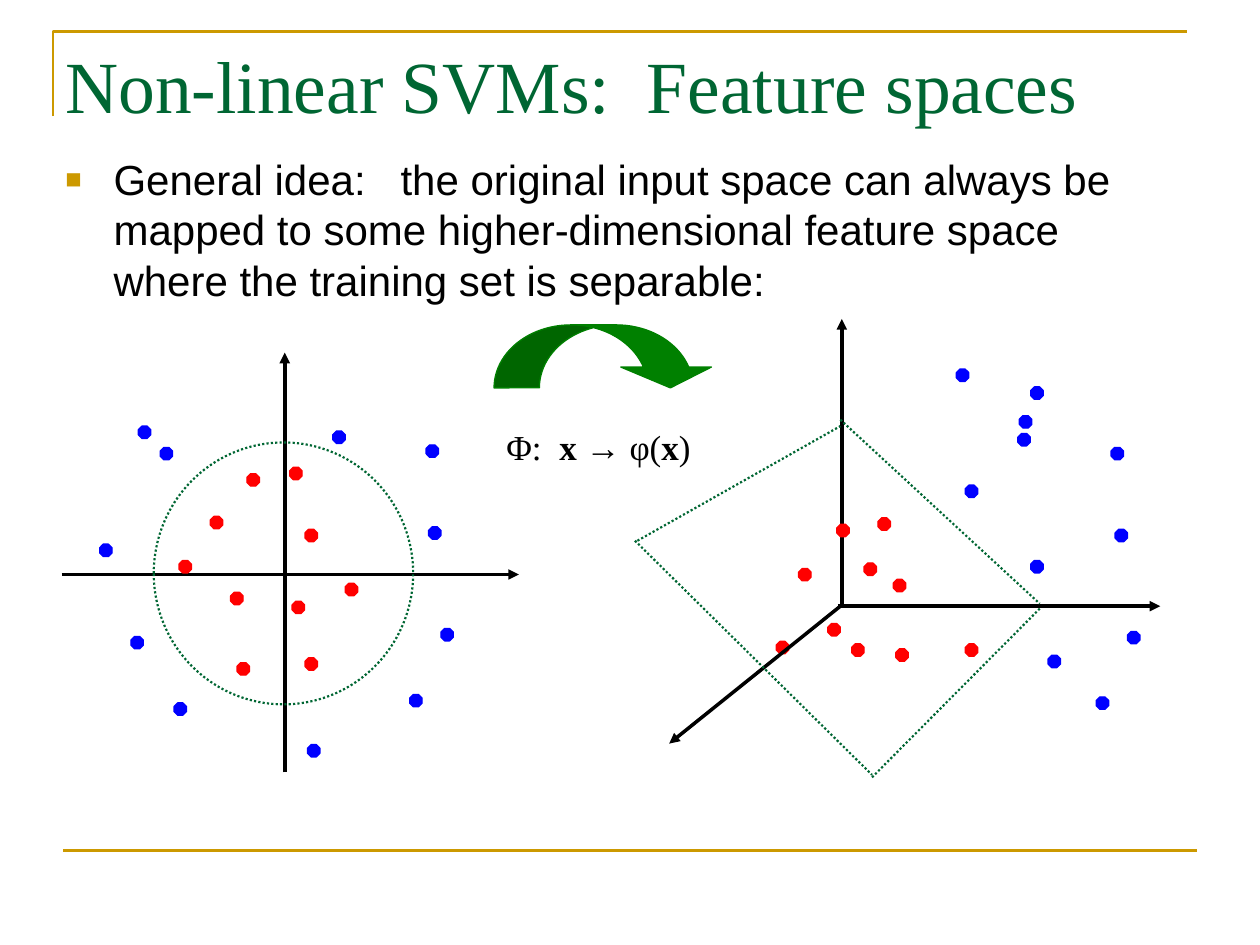
from lxml.etree import SubElement as Sub
from pptx import Presentation
from pptx.dml.color import RGBColor
from pptx.enum.dml import MSO_LINE as Dash
from pptx.enum.shapes import MSO_CONNECTOR as Link, MSO_SHAPE as Kind
from pptx.enum.text import MSO_ANCHOR as Anchor
from pptx.oxml.ns import qn
from pptx.util import Cm, Pt

HUES = {"gold": "CC9900", "pine": "006633", "black": "000000",
        "red": "FF0000", "blue": "0000FF", "green": "008000"}
DOT = 0.25

# Top left corners of the dots, in cm
FLAT = {
    "red": [(5.84, 9.42), (4.24, 10.41), (4.65, 11.94), (6.15, 13.26),
            (4.98, 9.55), (3.61, 11.3), (4.78, 13.36), (6.15, 10.67),
            (6.96, 11.76), (5.89, 12.12)],
    "blue": [(8.64, 10.62), (8.26, 14), (2.01, 10.97), (6.2, 15.01),
             (8.89, 12.67), (3.51, 14.17), (2.64, 12.83), (2.79, 8.59),
             (6.71, 8.69), (3.23, 9.02), (8.59, 8.97)],
}
SPACE = {
    "red": [(17.7, 10.44), (16.1, 11.46), (17.17, 12.98), (19.46, 12.98),
            (16.87, 10.57), (17.42, 11.35), (18.06, 13.08), (18.01, 11.68),
            (16.69, 12.57), (15.65, 12.93)],
    "blue": [(22.48, 10.67), (22.1, 14.05), (20.78, 7.8), (20.78, 11.3),
             (22.73, 12.73), (19.46, 9.78), (21.13, 13.21), (20.55, 8.38),
             (20.52, 8.74), (19.28, 7.44), (22.4, 9.02)],
}


def tint(name):
    return RGBColor.from_string(HUES[name])


def pen(line, hue, width, dash=None):
    line.color.rgb = tint(hue)
    line.width = Pt(width)
    if dash:
        line.dash_style = dash


def add_line(slide, start, end, hue, width, dash=None, arrow=False):
    line = slide.shapes.add_connector(Link.STRAIGHT, *map(Cm, start + end))
    pen(line.line, hue, width, dash)
    props = line._element.spPr
    if arrow:
        Sub(props.find(qn("a:ln")), qn("a:tailEnd"), type="triangle")
    Sub(props, qn("a:effectLst"))


def add_form(slide, kind, box, hue, width=0.75, dash=None, solid=True):
    form = slide.shapes.add_shape(kind, *map(Cm, box))
    form.shadow.inherit = False
    if solid:
        form.fill.solid()
        form.fill.fore_color.rgb = tint(hue)
    else:
        form.fill.background()
    pen(form.line, hue, width, dash)
    return form


def add_dots(slide, sets):
    for hue, spots in sets.items():
        for x, y in spots:
            add_form(slide, Kind.OCTAGON, (x, y, DOT, DOT), hue)


def add_text(slide, box, runs, face, size, hue, bullet=False,
             anchor=Anchor.TOP):
    frame = slide.shapes.add_textbox(*map(Cm, box)).text_frame
    frame.word_wrap = True
    frame.vertical_anchor = anchor
    para = frame.paragraphs[0]
    if bullet:
        add_bullet(para)
    para.font.name = face
    para.font.size = Pt(size)
    para.font.color.rgb = tint(hue)
    for words, bold in runs:
        run = para.add_run()
        run.text = words
        if bold:
            run.font.bold = True


def add_bullet(para):
    props = para._p.get_or_add_pPr()
    props.set("marL", str(Cm(0.97)))
    props.set("indent", str(Cm(-0.97)))
    Sub(Sub(props, qn("a:buClr")), qn("a:srgbClr"), val=HUES["gold"])
    Sub(props, qn("a:buSzPct"), val="65000")
    Sub(props, qn("a:buFont"), typeface="Arial")
    Sub(props, qn("a:buChar"), char="■")


def add_frame(slide):
    draw = slide.shapes.build_freeform(Cm(1.07), Cm(2.34))
    draw.add_line_segments([(Cm(1.07), Cm(0.64)), (Cm(23.93), Cm(0.64))],
                           close=False)
    rule = draw.convert_to_shape()
    rule.shadow.inherit = False
    rule.fill.background()
    pen(rule.line, "gold", 1.5)
    add_line(slide, (1.27, 17.15), (24.13, 17.15), "gold", 1.5)


def add_axes(slide, axes):
    for start, end in axes:
        add_line(slide, start, end, "black", 2, arrow=True)


def main():
    deck = Presentation()
    deck.slide_width, deck.slide_height = Cm(25.4), Cm(19.05)
    slide = deck.slides.add_slide(deck.slide_layouts[6])

    # Frame, title and main point
    add_frame(slide)
    add_text(slide, (1.07, 0.64, 21.59, 2.11),
             [("Non-linear SVMs:  Feature spaces", False)],
             "Times New Roman", 42, "pine", anchor=Anchor.MIDDLE)
    add_text(slide, (1.07, 2.97, 22.86, 13.97),
             [("General idea:   the original input space can always be mapped "
               "to some higher-dimensional feature space where the training "
               "set is separable:", False)],
             "Arial", 24, "black", bullet=True)

    # Input space with its round border
    add_axes(slide, [((5.74, 15.57), (5.74, 7.11)),
                     ((1.24, 11.58), (10.46, 11.58))])
    add_dots(slide, FLAT)
    add_form(slide, Kind.OVAL, (3.1, 8.92, 5.23, 5.28), "pine", 1.25,
             Dash.ROUND_DOT, solid=False)

    # Feature space with its flat border
    add_axes(slide, [((16.97, 12.17), (16.97, 6.43)),
                     ((16.89, 12.22), (23.39, 12.22))])
    add_dots(slide, SPACE)
    add_axes(slide, [((16.94, 12.22), (13.49, 14.99))])
    for start, end in [((16.94, 8.46), (20.96, 12.17)),
                       ((17.58, 15.67), (20.96, 12.27)),
                       ((12.85, 10.9), (16.94, 8.59)),
                       ((12.8, 10.9), (17.58, 15.62))]:
        add_line(slide, start, end, "pine", 1.25, Dash.ROUND_DOT)

    # Mapping between the spaces
    arrow = add_form(slide, Kind.CURVED_DOWN_ARROW, (9.96, 6.55, 4.47, 1.27),
                     "green")
    for i, ratio in enumerate((0.72, 1.44, 0.33)):
        arrow.adjustments[i] = ratio
    add_text(slide, (9.96, 8.46, 5.28, 1.22),
             [("Φ:  ", False), ("x → ", True), ("φ(", False), ("x", True),
              (")", False)],
             "Times New Roman", 20, "black")

    deck.save("out.pptx")


if __name__ == "__main__":
    main()
